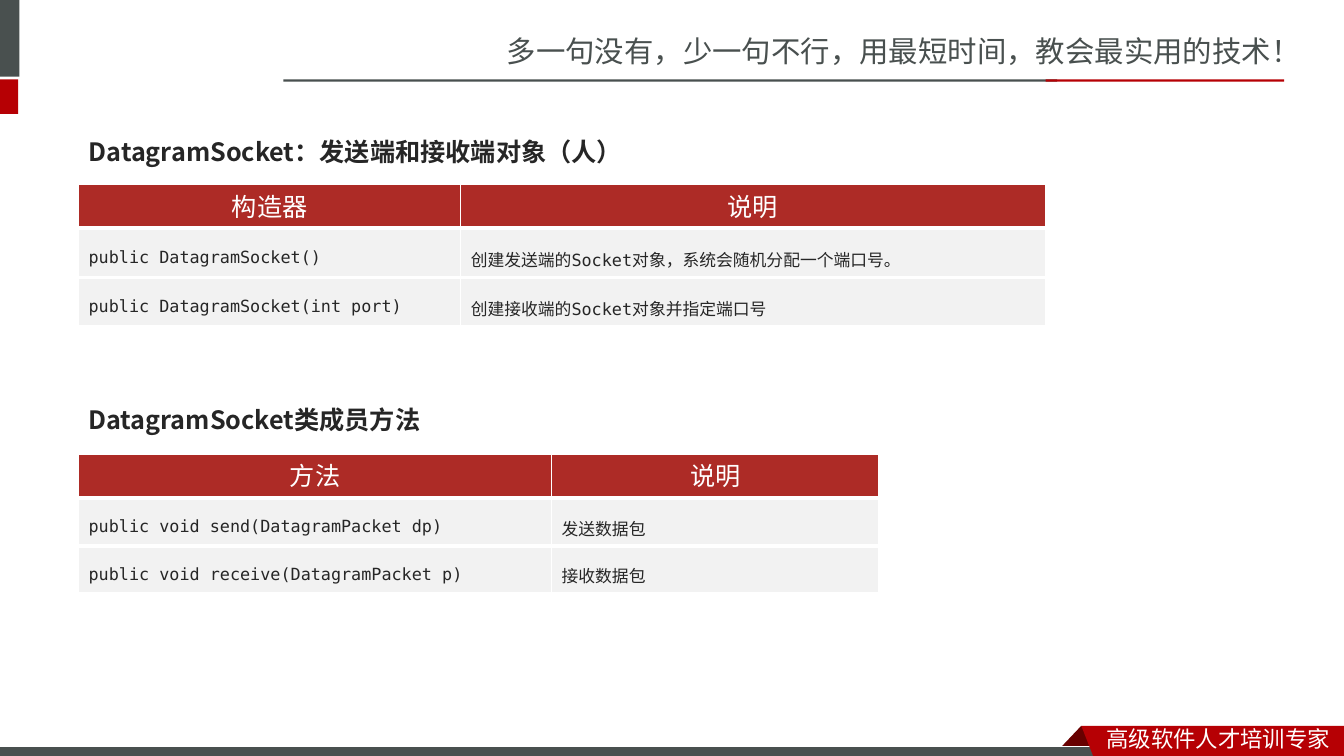
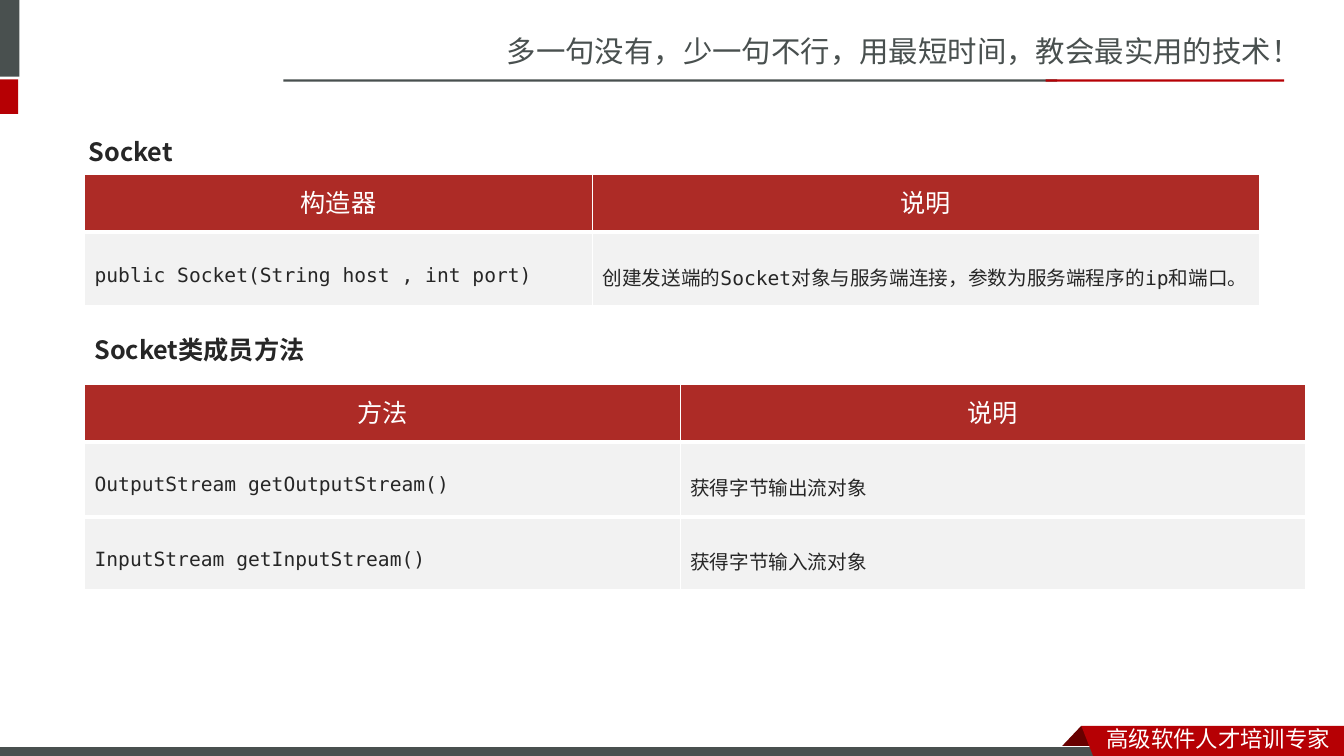
from lxml.etree import SubElement
from pptx import Presentation
from pptx.dml.color import RGBColor
from pptx.enum.shapes import MSO_SHAPE
from pptx.enum.text import MSO_ANCHOR as Anchor, MSO_AUTO_SIZE as AutoSize, PP_ALIGN as Align
from pptx.oxml.ns import qn
from pptx.util import Cm, Pt

SLATE, RED, DARK_RED, WHITE = "49504F", "B60004", "680000", "FFFFFF"
HEADER_RED, PALE_GREY, INK = "AD2B26", "F2F2F2", "262626"
SANS, HEADING, LATIN, MONO = "Noto Sans CJK SC", "Noto Sans CJK JP", "Lato", "DejaVu Sans Mono"


def color(value):
    return RGBColor.from_string(value)


class Deck:
    """Hold the shared style and the current slide."""

    def __init__(self):
        self.presentation = Presentation()
        self.presentation.slide_width = Cm(33.87)
        self.presentation.slide_height = Cm(19.05)
        self.layout = self.presentation.slide_layouts[5]
        self.slide = None

    def add_slide(self, title):
        first = self.slide is None
        self.slide = self.presentation.slides.add_slide(self.layout)
        if first:
            self.dress_layout()
        shape = self.slide.shapes.title
        shape.left, shape.top, shape.width, shape.height = Cm(1.98), Cm(2.92), Cm(27.1), Cm(1.3)
        self.fill_frame(shape.text_frame, title, 18, INK, HEADING, bold=True, spacing=1.5)

    def dress_layout(self):
        """Draw the shared frame once and move it to the layout."""
        for placeholder in list(self.layout.placeholders)[1:]:
            placeholder.element.getparent().remove(placeholder.element)
        frame = [
            self.text("多一句没有，少一句不行，用最短时间，教会最实用的技术！", 12.52, 0.71, 21.35, 1.2, 21, SLATE),
            self.block(0, 0, 0.49, 1.93, SLATE),
            self.block(0, 2, 0.46, 0.87, RED),
            self.block(7.14, 2, 19.5, 0.06, SLATE),
            self.block(26.35, 2, 6.01, 0.06, RED),
            self.outline([(27.25, 18.29), (27.81, 18.87), (26.7, 18.87)], DARK_RED),
            self.block(-0.03, 18.82, 27.94, 0.3, SLATE, line=WHITE),
            self.outline([(27.25, 18.29), (33.87, 18.29), (33.87, 19.15), (27.58, 19.13)], RED),
            self.text("高级软件人才培训专家", 27.64, 18.16, 6.22, 0.94, 16, WHITE),
        ]
        for shape in frame:
            self.layout.shapes.element.append(shape.element)

    def fill_frame(self, frame, text, size, ink, font, bold=False, spacing=None):
        frame.word_wrap = True
        frame.auto_size = AutoSize.NONE
        frame.vertical_anchor = Anchor.TOP
        self.add_run(frame.paragraphs[0], text, size, ink, font, font, bold, spacing, Align.LEFT)

    def add_run(self, paragraph, text, size, ink, font, east_asian, bold, spacing, align):
        paragraph.alignment = align
        paragraph.line_spacing = spacing
        run = paragraph.add_run()
        run.text = text
        run.font.size = Pt(size)
        run.font.bold = bold
        run.font.color.rgb = color(ink)
        run.font.name = font
        SubElement(run.font._element, qn("a:ea"), typeface=east_asian)

    def text(self, text, left, top, width, height, size, ink, font=SANS, bold=False):
        shape = self.slide.shapes.add_textbox(Cm(left), Cm(top), Cm(width), Cm(height))
        self.fill_frame(shape.text_frame, text, size, ink, font, bold)
        return shape

    def heading(self, text, left, top):
        self.text(text, left, top, 16.94, 1.02, 18, INK, HEADING, bold=True)

    def paint(self, shape, fill, line=None):
        shape.shadow.inherit = False
        shape.fill.solid()
        shape.fill.fore_color.rgb = color(fill)
        if line:
            shape.line.color.rgb = color(line)
            shape.line.width = Pt(0.75)
        else:
            shape.line.fill.background()
        return shape

    def block(self, left, top, width, height, fill, line=None):
        shape = self.slide.shapes.add_shape(
            MSO_SHAPE.RECTANGLE, Cm(left), Cm(top), Cm(width), Cm(height))
        return self.paint(shape, fill, line)

    def outline(self, points, fill):
        start, *others = [(Cm(x), Cm(y)) for x, y in points]
        builder = self.slide.shapes.build_freeform(*start)
        builder.add_line_segments(others, close=True)
        return self.paint(builder.convert_to_shape(), fill)

    def table(self, left, top, widths, header_height, row_height, size, rows):
        heights = [header_height] + [row_height] * (len(rows) - 1)
        table = self.slide.shapes.add_table(
            len(rows), len(widths), Cm(left), Cm(top), Cm(sum(widths)), Cm(sum(heights))).table
        table.horz_banding = False
        for column, width in zip(table.columns, widths):
            column.width = Cm(width)
        for index, (row, height, texts) in enumerate(zip(table.rows, heights, rows)):
            row.height = Cm(height)
            for cell, text in zip(row.cells, texts):
                self.fill_cell(cell, text, size, is_header=index == 0)

    def fill_cell(self, cell, text, size, is_header):
        cell.vertical_anchor = Anchor.MIDDLE
        self.border(cell, {"L": 1, "R": 1, "T": 1 if is_header else 3, "B": 3})
        cell.fill.solid()
        cell.fill.fore_color.rgb = color(HEADER_RED if is_header else PALE_GREY)
        paragraph = cell.text_frame.paragraphs[0]
        if is_header:
            self.add_run(paragraph, text, 18, WHITE, LATIN, SANS, False, Pt(24), Align.CENTER)
        else:
            self.add_run(paragraph, text, size, INK, MONO, SANS, False, 1.5, Align.LEFT)

    def border(self, cell, widths):
        properties = cell._tc.get_or_add_tcPr()
        for side, width in widths.items():
            line = SubElement(properties, qn(f"a:ln{side}"), w=str(Pt(width)))
            SubElement(SubElement(line, qn("a:solidFill")), qn("a:srgbClr"), val=WHITE)


def main():
    deck = Deck()

    deck.add_slide("DatagramSocket：发送端和接收端对象（人）")
    deck.table(1.98, 4.65, [9.63, 14.73], 0.97, 1.24, 12, [
        ("构造器", "说明"),
        ("public DatagramSocket()", "创建发送端的Socket对象，系统会随机分配一个端口号。"),
        ("public DatagramSocket(int port)", "创建接收端的Socket对象并指定端口号"),
    ])
    deck.heading("DatagramSocket类成员方法", 1.98, 10.06)
    deck.table(1.98, 11.45, [11.92, 8.25], 0.97, 1.2, 12, [
        ("方法", "说明"),
        ("public void send(DatagramPacket dp)", "发送数据包"),
        ("public void receive(DatagramPacket p)", "接收数据包"),
    ])

    deck.add_slide("Socket")
    deck.table(2.13, 4.4, [12.8, 16.81], 1.45, 1.88, 14, [
        ("构造器", "说明"),
        ("public Socket(String host , int port)",
         "创建发送端的Socket对象与服务端连接，参数为服务端程序的ip和端口。"),
    ])
    deck.heading("Socket类成员方法", 2.13, 8.31)
    deck.table(2.13, 9.69, [15.01, 15.75], 1.45, 1.88, 14, [
        ("方法", "说明"),
        ("OutputStream getOutputStream()", "获得字节输出流对象"),
        ("InputStream getInputStream()", "获得字节输入流对象"),
    ])

    deck.presentation.save("out.pptx")


if __name__ == "__main__":
    main()
